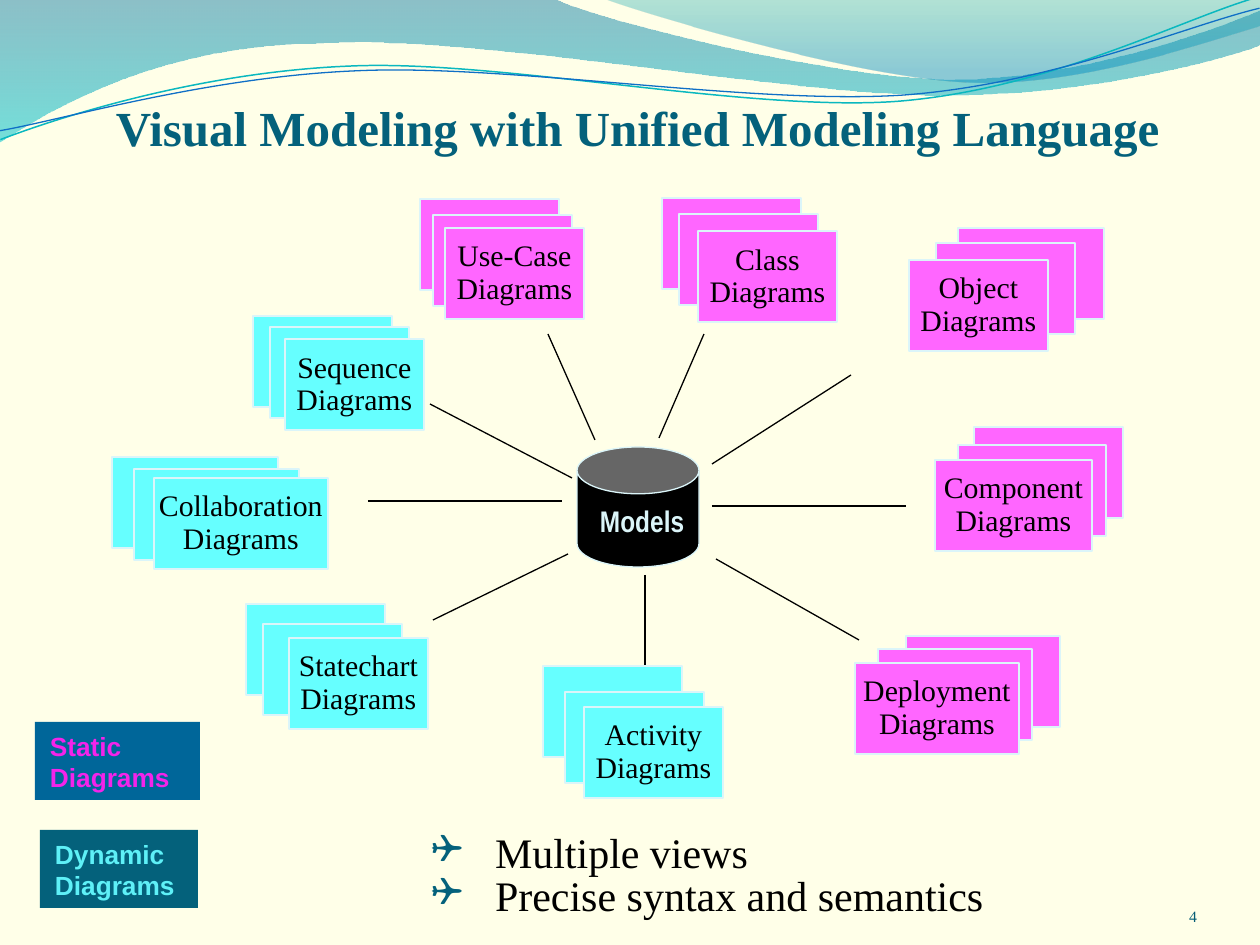
from math import cos, radians, sin

from lxml import etree
from pptx import Presentation
from pptx.dml.color import RGBColor
from pptx.enum.shapes import MSO_CONNECTOR, MSO_SHAPE
from pptx.enum.text import MSO_ANCHOR, PP_ALIGN
from pptx.oxml.ns import qn
from pptx.util import Pt

PX = 914400 / 126
RECT, CAN = MSO_SHAPE.RECTANGLE, MSO_SHAPE.CAN
STRAIGHT = MSO_CONNECTOR.STRAIGHT
TOP, MIDDLE, BOTTOM = MSO_ANCHOR.TOP, MSO_ANCHOR.MIDDLE, MSO_ANCHOR.BOTTOM
LEFT, CENTER, RIGHT = PP_ALIGN.LEFT, PP_ALIGN.CENTER, PP_ALIGN.RIGHT
SERIF = "Times New Roman"
COLORS = {
    "paper": "FFFFE8", "teal": "04617B", "number": "045C75", "black": "000000",
    "static": "FF66FF", "dynamic": "66FFFF", "pale": "DBF5F9",
    "static key": "006699", "static word": "F423EA", "dynamic word": "5EF0F7",
    "wave blue": "0074A1", "wave aqua": "00C6CF",
    "crest green": "00A1A9", "crest blue": "008BBF",
    "green line": "0AB8BF", "blue line": "0F6FC6",
}


def rgb(name):
    return RGBColor.from_string(COLORS[name])


def write(shape, lines, size, color, font=SERIF, bold=False, align=LEFT,
          anchor=TOP, inset=(0, 0), spacing=1.0, wrap=True):
    """Fill a shape with one paragraph per line; inset is (sides, top and bottom)."""
    frame = shape.text_frame
    frame.word_wrap = wrap
    frame.vertical_anchor = anchor
    frame.margin_left = frame.margin_right = int(inset[0] * PX)
    frame.margin_top = frame.margin_bottom = int(inset[1] * PX)
    frame.text = "\n".join(lines)
    for paragraph in frame.paragraphs:
        paragraph.alignment = align
        paragraph.line_spacing = spacing
        paragraph.font.size = Pt(size)
        paragraph.font.name = font
        paragraph.font.bold = bold
        paragraph.font.color.rgb = rgb(color)


prs = Presentation()
prs.slide_width, prs.slide_height = int(1260 * PX), int(945 * PX)
slide = prs.slides.add_slide(prs.slide_layouts[6])
slide.background.fill.solid()
slide.background.fill.fore_color.rgb = rgb("paper")
shapes = slide.shapes

# Each outline is a list of steps: one point is a move or a line, three are an arc
wave = [
    [(0, -1)], [(554, -1)],
    [(600, 21), (837, 79), (955, 79)], [(1075, 79), (1207, 33), (1260, 11)],
    [(1261, 45)], [(1237, 55), (1096, 96), (940, 95)],
    [(784, 95), (481, 35), (324, 43)], [(163, 44), (58, 105), (-1, 142)],
]
crest = [
    [(604, -1)], [(642, 14), (859, 78), (969, 82)],
    [(1079, 87), (1211, 40), (1260, 26)], [(1260, 0)],
]
green_line = [
    [(0, 140)], [(60, 117), (199, 72), (349, 66)],
    [(498, 59), (747, 112), (898, 101)], [(1050, 89), (1182, 19), (1257, -3)],
]
blue_line = [
    [(0, 131)], [(59, 121), (207, 77), (357, 71)],
    [(508, 64), (752, 105), (903, 95)], [(1053, 84), (1186, 26), (1260, 8)],
]
# Outline, frame, tilt, gradient stops (position, colour, opacity %), line colour, width
for outline, (left, top, width, height), tilt, stops, line_color, line_width in (
    (wave, (-1, -1, 1262, 143), 0,
     [(0, "wave blue", 45), (1, "wave aqua", 55)], None, 0),
    (crest, (604, -1, 656, 88), 0,
     [(0, "crest green", 30), (0.8, "crest blue", 45)], None, 0),
    (green_line, (-3, 28, 1263, 89), -2.7, [], "green line", 0.85),
    (blue_line, (-3, 38, 1264, 73), -2.7, [], "blue line", 0.75),
):
    builder = shapes.build_freeform(left, top, scale=PX)
    builder.add_line_segments([(left + width, top + height)], close=False)
    band = builder.convert_to_shape()
    band.shadow.inherit = False
    band.rotation = tilt
    path = next(band._element.iter(qn("a:path")))
    for straight in list(path):
        path.remove(straight)
    turn = radians(-tilt)
    for index, step in enumerate(outline):
        tag = "a:moveTo" if index == 0 else "a:lnTo" if len(step) == 1 else "a:cubicBezTo"
        command = etree.SubElement(path, qn(tag))
        for x, y in step:
            dx, dy = x - left - width / 2, y - top - height / 2
            etree.SubElement(
                command, qn("a:pt"),
                x=str(round(width / 2 + dx * cos(turn) - dy * sin(turn))),
                y=str(round(height / 2 + dx * sin(turn) + dy * cos(turn))))
    if stops:
        etree.SubElement(path, qn("a:close"))
        band.line.fill.background()
        band.fill.gradient()
        band.fill.gradient_angle = 270
        for stop, (position, color, _) in zip(band.fill.gradient_stops, stops):
            stop.position = position
            stop.color.rgb = rgb(color)
        for tint, (_, _, opacity) in zip(band._element.spPr.iter(qn("a:srgbClr")), stops):
            etree.SubElement(tint, qn("a:alpha"), val=str(opacity * 1000))
    else:
        band.fill.background()
        band.line.color.rgb = rgb(line_color)
        band.line.width = Pt(line_width)

title = shapes.add_textbox(*(int(v * PX) for v in (48, 63, 1179, 93)))
write(title, ["Visual Modeling with Unified Modeling Language"], 28, "teal",
      bold=True, align=CENTER, anchor=BOTTOM)

# Spokes between the models and each kind of diagram
for *ends, width in (
    (712, 464, 851, 375, 0.75), (712, 506, 906, 506, 0.75),
    (430, 404, 572, 478, 0.75), (433, 620, 568, 554, 0.75),
    (548, 334, 595, 440, 0.75), (368, 501, 562, 501, 0.75),
    (704, 334, 659, 438, 0.75), (859, 640, 716, 559, 0.75),
    (645, 575, 645, 667, 1),
):
    spoke = shapes.add_connector(STRAIGHT, *(int(v * PX) for v in ends))
    spoke.line.color.rgb = rgb("black")
    spoke.line.width = Pt(width)
    etree.SubElement(spoke._element.spPr, qn("a:effectLst"))

# Stacks of cards from back to front: left, top, width
for topic, kind, cards in (
    ("Activity", "dynamic", [(543, 666, 139), (565, 692, 139), (584, 707, 139)]),
    ("Sequence", "dynamic", [(253, 316, 139), (270, 327, 139), (285, 339, 139)]),
    ("Collaboration", "dynamic", [(112, 457, 166), (134, 469, 165), (154, 478, 174)]),
    ("Statechart", "dynamic", [(246, 604, 139), (263, 624, 139), (289, 638, 139)]),
    ("Deployment", "static", [(906, 636, 154), (878, 649, 154), (855, 663, 164)]),
    ("Component", "static", [(974, 427, 149), (958, 445, 148), (935, 460, 157)]),
    ("Object", "static", [(958, 228, 146), (936, 243, 139), (909, 260, 139)]),
    ("Class", "static", [(662, 198, 139), (679, 214, 139), (698, 231, 139)]),
    ("Use-Case", "static", [(420, 199, 139), (433, 215, 139), (445, 228, 139)]),
):
    for left, top, width in cards:
        card = shapes.add_shape(RECT, *(int(v * PX) for v in (left, top, width, 91)))
        card.shadow.inherit = False
        card.fill.solid()
        card.fill.fore_color.rgb = rgb(kind)
        card.line.color.rgb = rgb("pale")
        card.line.width = Pt(0.75)
    write(card, [topic, "Diagrams"], 17, "black", align=CENTER, anchor=MIDDLE,
          inset=(11, 6), spacing=0.9, wrap=False)

store = shapes.add_shape(CAN, *(int(v * PX) for v in (577, 447, 122, 120)))
store.adjustments[0] = 0.39
store.shadow.inherit = False
store.fill.solid()
store.fill.fore_color.rgb = rgb("black")
store.line.color.rgb = rgb("pale")
store.line.width = Pt(0.75)
store_label = shapes.add_textbox(*(int(v * PX) for v in (585, 499, 121, 48)))
write(store_label, ["Models"], 17, "pale", font="Arial Narrow", bold=True,
      inset=(15, 8), spacing=0.9)

# Colour key
for label, fill, word, box in (
    ("Dynamic Diagrams", "teal", "dynamic word", (40, 830, 158, 78)),
    ("Static Diagrams", "static key", "static word", (35, 722, 165, 78)),
):
    key = shapes.add_shape(RECT, *(int(v * PX) for v in box))
    key.shadow.inherit = False
    key.fill.solid()
    key.fill.fore_color.rgb = rgb(fill)
    key.line.fill.background()
    write(key, [label], 15, word, font="Arial", bold=True, inset=(15, 8))

benefits = shapes.add_textbox(*(int(v * PX) for v in (420, 827, 761, 101)))
benefits.text_frame.text = "Multiple views\nPrecise syntax and semantics"
write(benefits, benefits.text_frame.text.split("\n"), 24, "black",
      inset=(11, 6), spacing=0.87)
for benefit in benefits.text_frame.paragraphs:
    props = benefit._p.get_or_add_pPr()
    props.set("marL", str(int(64 * PX)))
    props.set("indent", str(int(-64 * PX)))
    bullet_color = etree.Element(qn("a:buClr"))
    etree.SubElement(bullet_color, qn("a:srgbClr"), val=COLORS["teal"])
    bullet_size = etree.Element(qn("a:buSzPct"), val="95000")
    bullet_font = etree.Element(qn("a:buFont"), typeface="Wingdings")
    bullet = etree.Element(qn("a:buChar"), char="❑")
    for part in (bullet_color, bullet_size, bullet_font, bullet):
        props.find(qn("a:defRPr")).addprevious(part)

page_number = shapes.add_textbox(*(int(v * PX) for v in (1092, 876, 105, 50)))
write(page_number, ["4"], 9, "number", align=RIGHT, anchor=BOTTOM)

prs.save("out.pptx")
